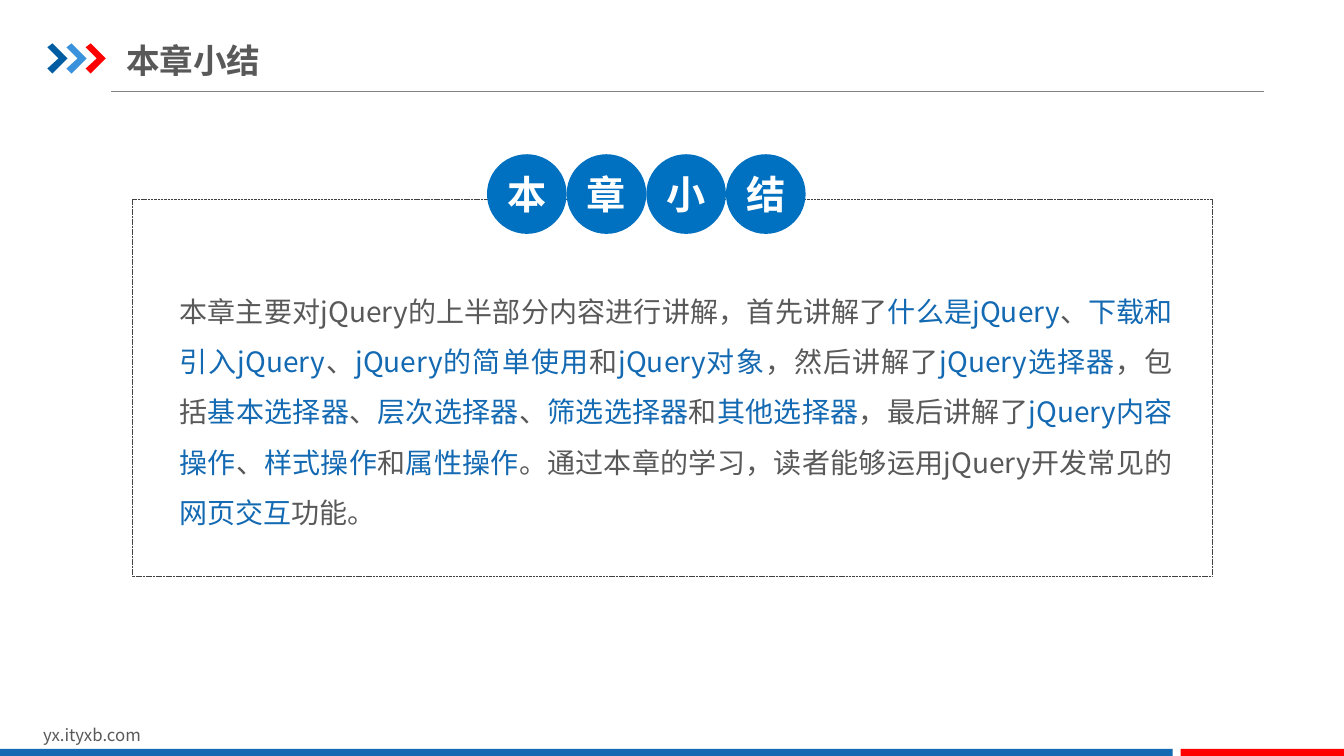
import pptx
import pptx.util
import pptx.dml.color
import pptx.enum.dml
import pptx.enum.shapes
import pptx.enum.text
import pptx.oxml
import pptx.oxml.ns
import lxml.etree

Inches = pptx.util.Inches
Pt = pptx.util.Pt
Kind = pptx.enum.shapes.MSO_SHAPE
Align = pptx.enum.text.PP_ALIGN
Anchor = pptx.enum.text.MSO_ANCHOR
Fit = pptx.enum.text.MSO_AUTO_SIZE

FONT = "Noto Sans CJK SC"
GRAY = "595959"
BLUE = "1369B2"
RED = "FF0000"
TITLE = "本章小结"
BODY = (
    "本章主要对jQuery的上半部分内容进行讲解，首先讲解了|什么是jQuery|、|下载和引入jQuery|、|"
    "jQuery的简单使用|和|jQuery对象|，然后讲解了|jQuery选择器|，包括|基本选择器|、|层次选择器|、|"
    "筛选选择器|和|其他选择器|，最后讲解了|jQuery内容操作|、|样式操作|和|属性操作|"
    "。通过本章的学习，读者能够运用jQuery开发常见的|网页交互|功能。"
)


def color(code):
    return pptx.dml.color.RGBColor.from_string(code)


def write(shape, text, size=20, hues=(GRAY,), bold=False, align=Align.LEFT,
          anchor=Anchor.TOP, inset=(0, 0), space=None, fit=Fit.NONE):
    frame = shape.text_frame
    frame.word_wrap = True
    frame.auto_size = fit
    frame.vertical_anchor = anchor
    frame.margin_left = frame.margin_right = Inches(inset[0])
    frame.margin_top = frame.margin_bottom = Inches(inset[1])
    para = frame.paragraphs[0]
    para.alignment = align
    para.line_spacing = space
    for i, part in enumerate(text.split("|")):
        run = para.add_run()
        run.text = part
        font = run.font
        font.size = Pt(size)
        font.bold = bold
        font.color.rgb = color(hues[i % len(hues)])
        font.name = FONT
        props = run._r.get_or_add_rPr()
        props.set("lang", "zh-CN")
        east = lxml.etree.SubElement(props, pptx.oxml.ns.qn("a:ea"))
        east.set("typeface", FONT)


def paint(shape, fill):
    shape.shadow.inherit = False
    shape.fill.solid()
    shape.fill.fore_color.rgb = color(fill)
    shape.line.fill.background()


def block(slide, kind, box, fill):
    shape = slide.shapes.add_shape(kind, *map(Inches, box))
    paint(shape, fill)
    return shape


def label(slide, box, text, **form):
    write(slide.shapes.add_textbox(*map(Inches, box)), text, **form)


def arrow(slide, left, fill):
    top = 0.43
    dots = [(0, 0.04), (0.05, 0), (0.2, 0.15), (0.05, 0.3), (0, 0.25), (0.11, 0.15)]
    spots = [(Inches(left + x), Inches(top + y)) for x, y in dots]
    build = slide.shapes.build_freeform(*spots[0])
    build.add_line_segments(spots[1:], close=True)
    paint(build.convert_to_shape(), fill)


def rule(slide):
    line = slide.shapes.add_connector(
        pptx.enum.shapes.MSO_CONNECTOR.STRAIGHT,
        Inches(1.1), Inches(0.91), Inches(12.54), Inches(0.91))
    line.line.color.rgb = color("808080")
    line.line.width = Pt(0.75)
    lxml.etree.SubElement(line._element.spPr, pptx.oxml.ns.qn("a:effectLst"))


def head(slide):
    title = slide.shapes.title
    title.left, title.top = Inches(1.25), Inches(0.36)
    title.width, title.height = Inches(5.26), Inches(0.48)
    write(title, TITLE, size=24, bold=True, anchor=Anchor.MIDDLE, inset=(0, 0.07))


def panel(slide):
    frame = slide.shapes.add_shape(
        Kind.ROUNDED_RECTANGLE, Inches(1.31), Inches(1.98), Inches(10.71), Inches(3.74))
    frame.adjustments[0] = 0
    frame.shadow.inherit = False
    frame.fill.background()
    frame.line.color.rgb = color("404040")
    frame.line.width = Pt(0.25)
    frame.line.dash_style = pptx.enum.dml.MSO_LINE.SQUARE_DOT


def main():
    deck = pptx.Presentation()
    deck.slide_width, deck.slide_height = Inches(13.33), Inches(7.5)
    slide = deck.slides.add_slide(deck.slide_layouts.get_by_name("Title Only"))

    rule(slide)
    for i, fill in enumerate(("005DA2", "3992DB", RED)):
        arrow(slide, 0.47 + 0.19 * i, fill)
    label(slide, (0.33, 7.14, 3.18, 0.3), "yx.ityxb.com", size=12,
          inset=(0.1, 0.05), fit=Fit.SHAPE_TO_FIT_TEXT)
    for left, width, fill in ((0, 11.63, BLUE), (11.71, 1.63, RED)):
        block(slide, Kind.RECTANGLE, (left, 7.43, width, 0.09), fill)

    head(slide)
    panel(slide)
    label(slide, (1.78, 2.75, 9.85, 2.52), BODY, hues=(GRAY, BLUE),
          align=Align.JUSTIFY, space=1.5, fit=Fit.SHAPE_TO_FIT_TEXT)
    side = 0.79
    for i, sign in enumerate(TITLE):
        disc = block(slide, Kind.OVAL, (4.83 + side * i, 1.53, side, side), "0070C0")
        write(disc, sign, size=28, hues=("FFFFFF",), bold=True,
              align=Align.CENTER, anchor=Anchor.MIDDLE)

    deck.save("out.pptx")


if __name__ == "__main__":
    main()
